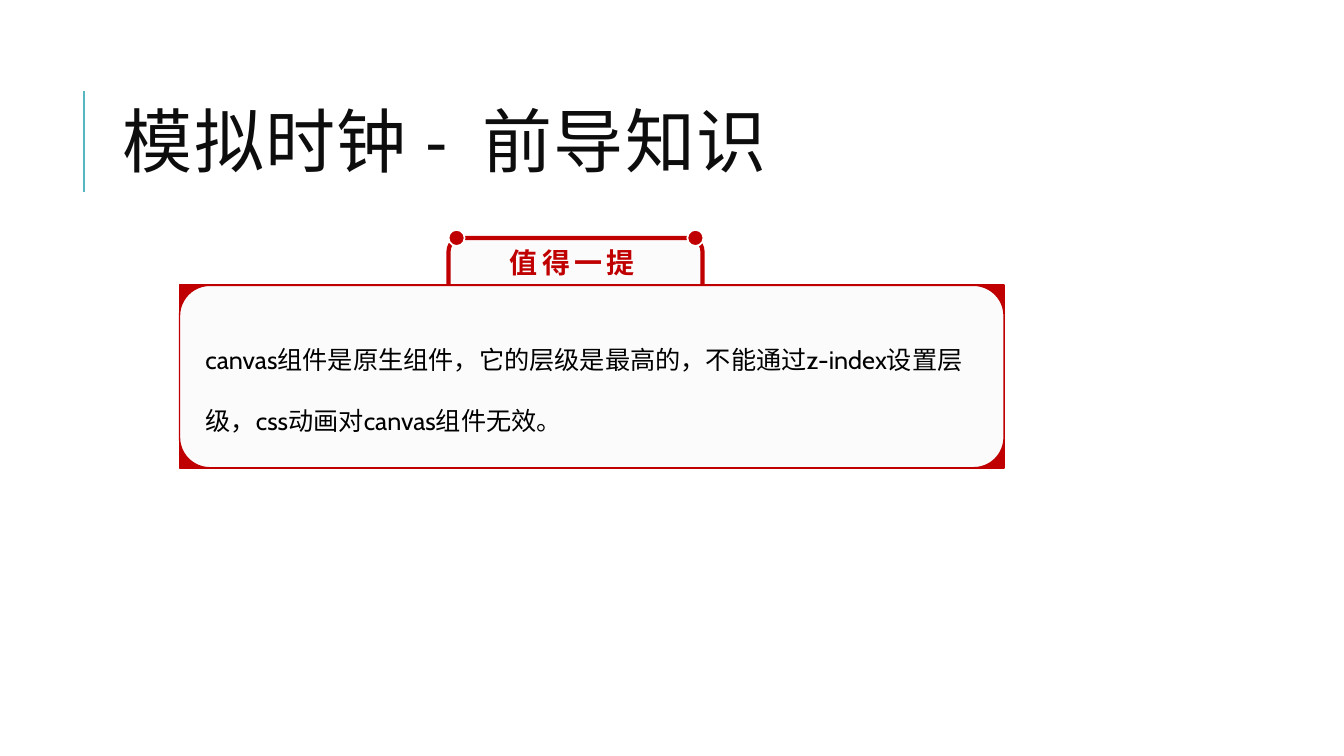
import pptx
import pptx.util
import pptx.dml.color
import pptx.enum.shapes
import pptx.enum.text
import pptx.oxml
import pptx.oxml.ns

Pt = pptx.util.Pt
Shape = pptx.enum.shapes.MSO_SHAPE
Anchor = pptx.enum.text.MSO_ANCHOR

theme = {
    "teal": "58B6C0", "red": "C00000", "panel": "FBFBFB", "white": "FFFFFF",
    "title": "0D0D0D", "body": "000000",
    "title_size": 50, "label_size": 20, "body_size": 18,
    "title_font": "Calibri", "chinese_font": "Noto Sans CJK SC", "body_font": "Cabin",
}


def color(name):
    return pptx.dml.color.RGBColor.from_string(theme[name])


def add_text(box, runs, style, font_name, anchor, line_spacing, wrap=True, bold=False):
    shape = slide.shapes.add_textbox(*map(Pt, box))
    frame = shape.text_frame
    frame.word_wrap = wrap
    frame.vertical_anchor = anchor
    paragraph = frame.paragraphs[0]
    paragraph.line_spacing = line_spacing
    for text, spacing in runs:
        run = paragraph.add_run()
        run.text = text
        run.font.name = theme[font_name]
        run.font.size = Pt(theme[style + "_size"])
        run.font.bold = bold
        run.font.color.rgb = color("red" if style == "label" else style)
        properties = run.font._element
        properties.set("spc", str(spacing * 100))
        east_asian = pptx.oxml.parse_xml(
            f'<a:ea {pptx.oxml.ns.nsdecls("a")} typeface="{theme["chinese_font"]}"/>')
        properties.find(pptx.oxml.ns.qn("a:latin")).addnext(east_asian)


presentation = pptx.Presentation()
presentation.slide_width = Pt(960)
presentation.slide_height = Pt(540)
slide = presentation.slides.add_slide(presentation.slide_layouts[6])

title_rule = slide.shapes.add_connector(
    pptx.enum.shapes.MSO_CONNECTOR.STRAIGHT, Pt(60), Pt(136.8), Pt(60), Pt(64.8))
title_rule.line.color.rgb = color("teal")
title_rule.line.width = Pt(1.5)
title_rule._element.spPr.append(
    pptx.oxml.parse_xml(f'<a:effectLst {pptx.oxml.ns.nsdecls("a")}/>'))

add_text((80.6, 46, 765.4, 118), [("模拟时钟 -", 1), (" ", 13), ("前导知识", 1)],
         "title", "title_font", Anchor.MIDDLE, 0.8)

panel_box = (128.2, 203.8, 589, 130.3)
dot_size = 11.5
label_left, label_right = 320.4, 502.5
dots = [(Shape.OVAL, (left, 164.2, dot_size, dot_size), "red", "white", 1.25)
        for left in (label_left, label_right - dot_size)]
shapes = [
    (Shape.ROUNDED_RECTANGLE, (label_left, 170, 181.4, 57), "panel", "red", 3),
    (Shape.FLOWCHART_PROCESS, panel_box, "red", "red", 1.25),
    (Shape.FLOWCHART_ALTERNATE_PROCESS, panel_box, "panel", "red", 1),
] + dots
for kind, box, fill, line, width in shapes:
    shape = slide.shapes.add_shape(kind, *map(Pt, box))
    shape.shadow.inherit = False
    shape.fill.solid()
    shape.fill.fore_color.rgb = color(fill)
    shape.line.color.rgb = color(line)
    shape.line.width = Pt(width)

add_text((357.1, 172.1, 108, 31.7), [("值得一提", 3)],
         "label", "chinese_font", Anchor.TOP, 1.0, wrap=False, bold=True)
add_text((139.7, 221, 568, 87.8),
         [("canvas组件是原生组件，它的层级是最高的，不能通过z-index设置层级，css动画对canvas组件无效。", 0)],
         "body", "body_font", Anchor.TOP, 2.0)

presentation.save("out.pptx")
